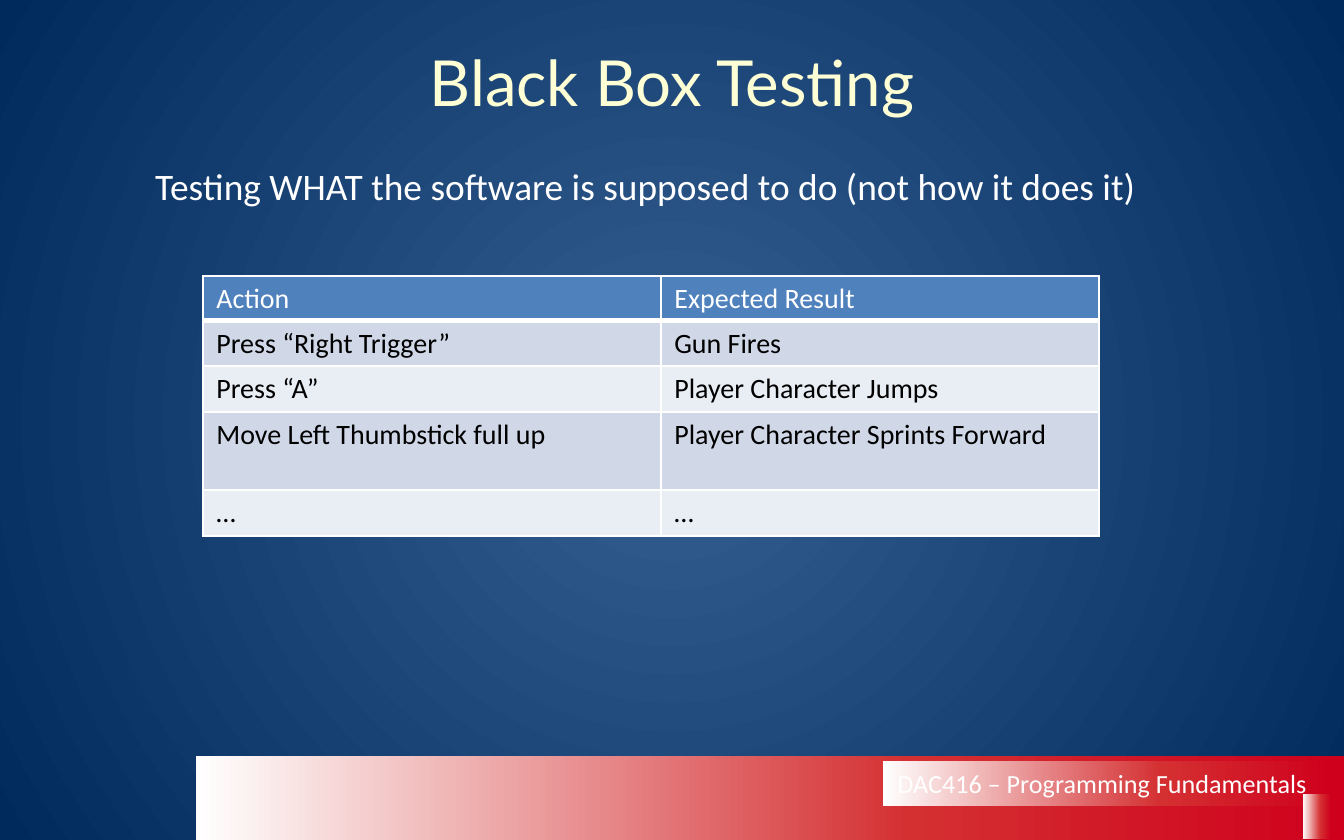
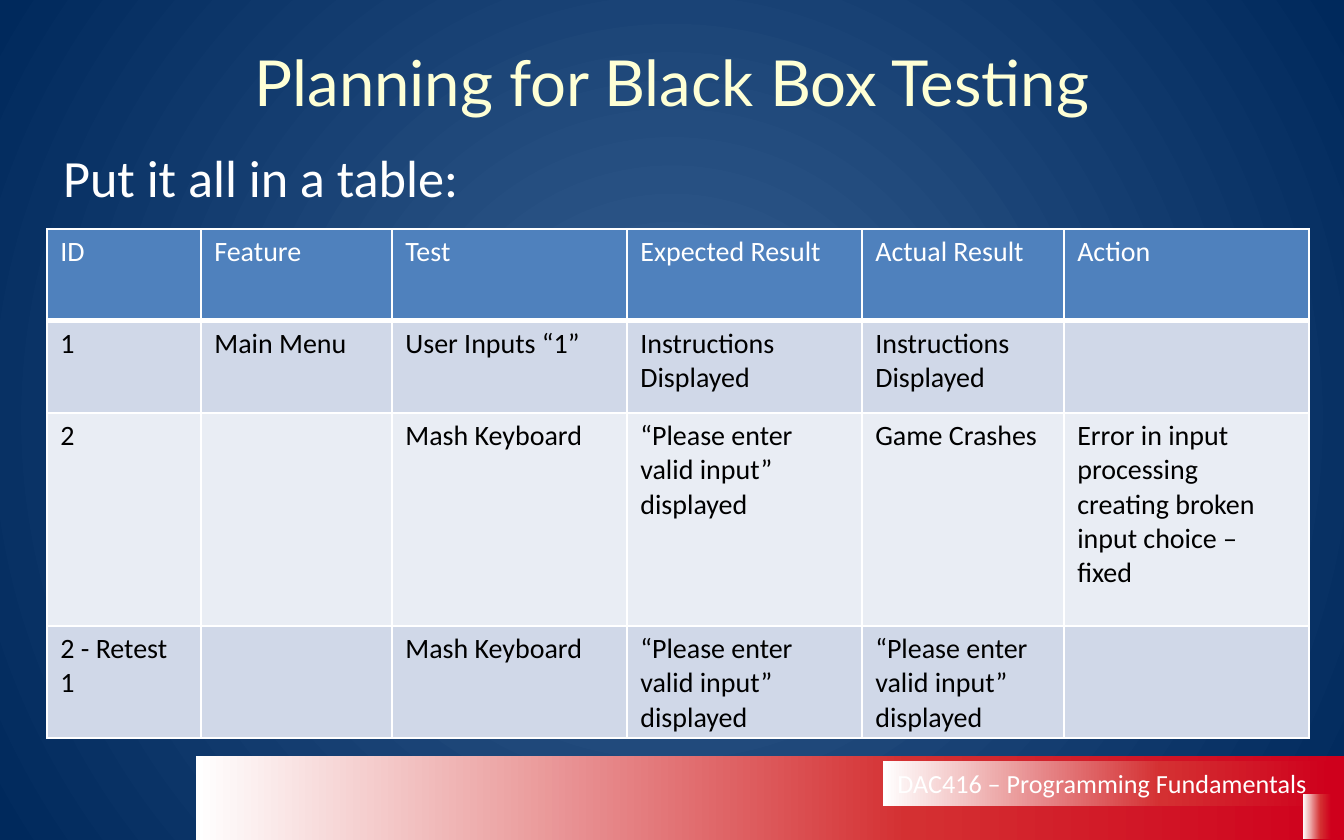
"""Build two slides on black box testing with a shared title style and footer band."""
from lxml.etree import SubElement
from pptx import Presentation
from pptx.dml.color import RGBColor
from pptx.enum.shapes import MSO_SHAPE
from pptx.enum.text import MSO_ANCHOR, PP_ALIGN
from pptx.oxml import parse_xml
from pptx.oxml.ns import nsdecls, qn
from pptx.util import Pt

SCALE = 914400 / 134.4
WHITE = RGBColor(0xFF, 0xFF, 0xFF)
BLACK = RGBColor(0x00, 0x00, 0x00)
CREAM = RGBColor(0xFE, 0xFF, 0xD5)
HEADER_BLUE = RGBColor(0x4F, 0x81, 0xBD)
ROW_DARK = RGBColor(0xD0, 0xD8, 0xE8)
ROW_LIGHT = RGBColor(0xE9, 0xED, 0xF4)
CENTRE_BLUE = RGBColor(0x37, 0x60, 0x92)
EDGE_BLUE = RGBColor(0x00, 0x29, 0x5C)
BAND_RED = RGBColor(0xD4, 0x30, 0x32)
END_RED = RGBColor(0xCF, 0x00, 0x1C)

BACKGROUND_STOPS = [(0, CENTRE_BLUE), (100, EDGE_BLUE)]
BAND_STOPS = [(0, WHITE), (62, BAND_RED), (100, END_RED)]
RADIAL = ('<a:path path="circle"><a:fillToRect l="50000" t="50000" '
          'r="50000" b="50000"/></a:path>')
LINEAR = '<a:lin ang="0" scaled="0"/>'
BANDS = [
    (196, 756, 1148, 84, ""),
    (883, 761, 448, 45, "DAC416 – Programming Fundamentals"),
    (1303, 794, 28, 45, ""),
]

SLIDES = [
    {
        "title": "Black Box Testing",
        "lead": "Testing WHAT the software is supposed to do (not how it does it)",
        "lead_box": (142, 157, 1018, 103),
        "lead_size": 20,
        "table_corner": (203, 276),
        "columns": [458, 438],
        "heights": [45, 45, 46, 78, 46],
        "rows": [
            ["Action", "Expected Result"],
            ["Press “Right Trigger”", "Gun Fires"],
            ["Press “A”", "Player Character Jumps"],
            ["Move Left Thumbstick full up", "Player Character Sprints Forward"],
            ["…", "…"],
        ],
    },
    {
        "title": "Planning for Black Box Testing",
        "lead": "Put it all in a table:",
        "lead_box": (50, 139, 950, 80),
        "lead_size": 28,
        "table_corner": (47, 229),
        "columns": [154, 191, 235, 235, 202, 245],
        "heights": [92, 92, 213, 112],
        "rows": [
            ["ID", "Feature", "Test", "Expected Result", "Actual Result", "Action"],
            ["1", "Main Menu", "User Inputs “1”", "Instructions Displayed",
             "Instructions Displayed", ""],
            ["2", "", "Mash Keyboard", "“Please enter valid input” displayed",
             "Game Crashes",
             "Error in input processing creating broken input choice – fixed"],
            ["2 - Retest 1", "", "Mash Keyboard",
             "“Please enter valid input” displayed",
             "“Please enter valid input” displayed", ""],
        ],
    },
]


def px(*lengths):
    return [round(length * SCALE) for length in lengths]


def set_gradient(fill, owner, stops, direction):
    fill.gradient()
    placeholder_fill = next(owner.iter(qn("a:gradFill")))
    stop_list = "".join(
        f'<a:gs pos="{position * 1000}"><a:srgbClr val="{color}"/></a:gs>'
        for position, color in stops)
    gradient = parse_xml(f'<a:gradFill {nsdecls("a")} rotWithShape="1">'
                         f'<a:gsLst>{stop_list}</a:gsLst>{direction}</a:gradFill>')
    placeholder_fill.getparent().replace(placeholder_fill, gradient)


presentation = Presentation()
presentation.slide_width, presentation.slide_height = px(1344, 840)
master = presentation.slide_master
set_gradient(master.background.fill, master.element, BACKGROUND_STOPS, RADIAL)

for content in SLIDES:
    slide = presentation.slides.add_slide(presentation.slide_layouts[5])

    for left, top, width, height, text in BANDS:
        band = slide.shapes.add_shape(MSO_SHAPE.RECTANGLE, *px(left, top, width, height))
        band.shadow.inherit = False
        band.line.fill.background()
        set_gradient(band.fill, band.element, BAND_STOPS, LINEAR)
        if text:
            frame = band.text_frame
            frame.word_wrap = False
            frame.margin_right, = px(24)
            paragraph = frame.paragraphs[0]
            paragraph.text = text
            paragraph.alignment = PP_ALIGN.RIGHT
            paragraph.font.name = "Calibri"
            paragraph.font.size = Pt(14)
            paragraph.font.color.rgb = WHITE

    title = slide.shapes.title
    title.left, title.top, title.width, title.height = px(67, 34, 1210, 95)
    title.text_frame.vertical_anchor = MSO_ANCHOR.MIDDLE
    paragraph = title.text_frame.paragraphs[0]
    paragraph.text = content["title"]
    paragraph.alignment = PP_ALIGN.CENTER
    paragraph.font.name = "Lato"
    paragraph.font.size = Pt(34)
    paragraph.font.color.rgb = CREAM

    lead = slide.shapes.add_textbox(*px(*content["lead_box"]))
    lead.text_frame.word_wrap = True
    paragraph = lead.text_frame.paragraphs[0]
    paragraph.text = content["lead"]
    paragraph.font.name = "Calibri"
    paragraph.font.size = Pt(content["lead_size"])
    paragraph.font.color.rgb = WHITE

    rows, columns, heights = content["rows"], content["columns"], content["heights"]
    table = slide.shapes.add_table(
        len(rows), len(columns),
        *px(*content["table_corner"], sum(columns), sum(heights))).table
    table.first_row = False
    table.horz_banding = False
    for column, width in zip(table.columns, px(*columns)):
        column.width = width
    for row, height in zip(table.rows, px(*heights)):
        row.height = height

    for row_index, row in enumerate(rows):
        is_header = row_index == 0
        row_fill = HEADER_BLUE if is_header else (ROW_LIGHT, ROW_DARK)[row_index % 2]
        for column_index, text in enumerate(row):
            cell = table.cell(row_index, column_index)
            cell.margin_top, cell.margin_bottom = px(6, 4)
            properties = cell._tc.get_or_add_tcPr()
            for side in "LRTB":
                points = 3 if is_header and side == "B" else 1
                border = SubElement(properties, qn(f"a:ln{side}"), w=str(Pt(points)))
                border_fill = SubElement(border, qn("a:solidFill"))
                SubElement(border_fill, qn("a:srgbClr"), val=str(WHITE))
            cell.fill.solid()
            cell.fill.fore_color.rgb = row_fill
            paragraph = cell.text_frame.paragraphs[0]
            paragraph.text = text
            paragraph.font.name = "Calibri"
            paragraph.font.size = Pt(15)
            paragraph.font.color.rgb = WHITE if is_header else BLACK

presentation.save("out.pptx")
